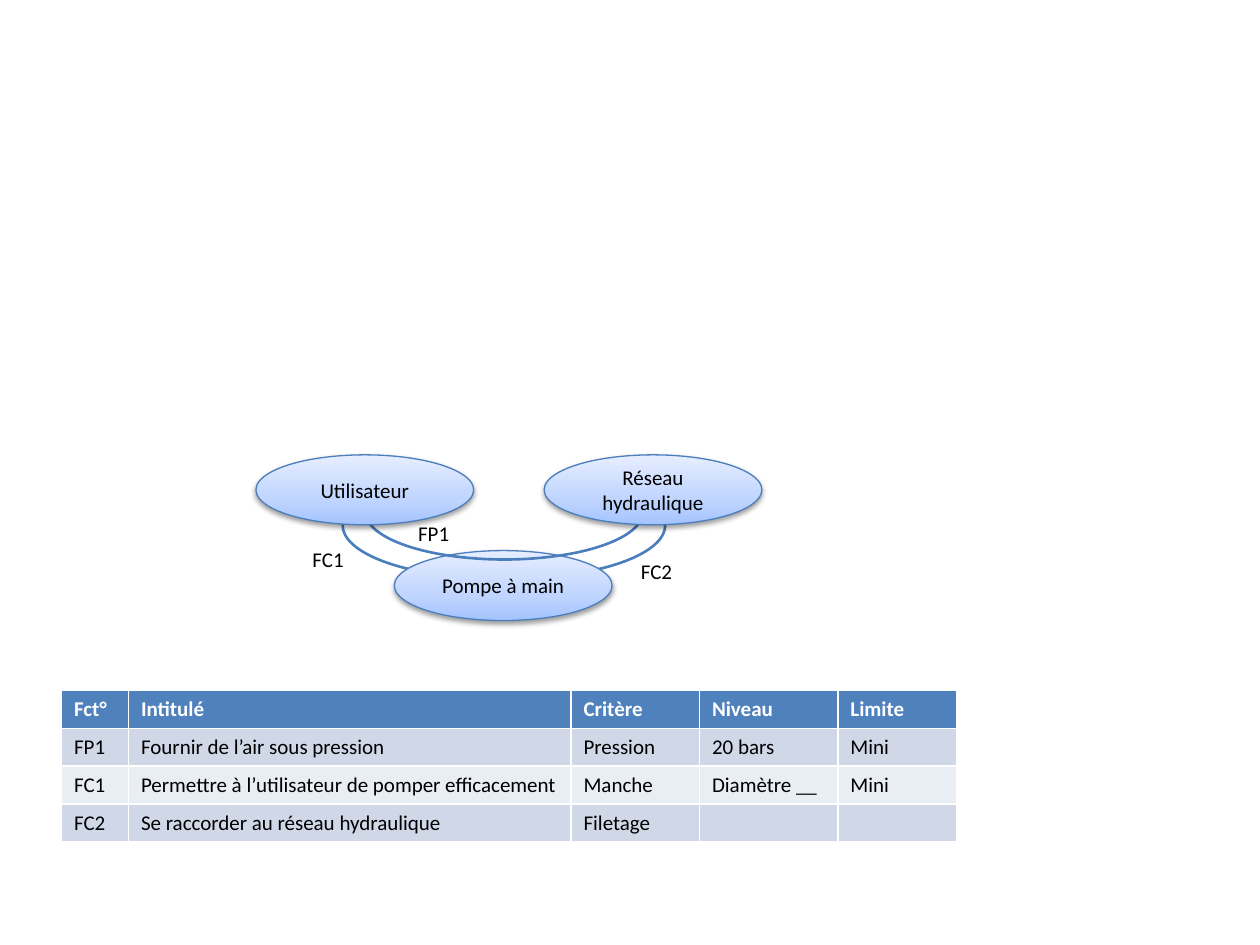
from lxml.etree import SubElement
from pptx import Presentation
from pptx.dml.color import RGBColor
from pptx.enum.shapes import MSO_SHAPE
from pptx.enum.text import MSO_ANCHOR, MSO_AUTO_SIZE, PP_ALIGN
from pptx.oxml.ns import qn
from pptx.util import Cm, Pt

# Content, lengths in cm
BLUE = "4B7EBC"
STOPS = [(0, "A4C4FF"), (35, "BFD4FF"), (100, "E6EEFF")]
# left, top, width, height, start and end degrees, mirrored
LINKS = [
    (6.91, 9.53, 6.17, 2.13, 354.03, 40.49, True),
    (7.24, 9.53, 6.17, 2.13, 354.03, 40.49, False),
]
MAIN = (7.37, 9.37, 5.59, 1.91, 352.12, 190.12, False)
PUMP = ("Pompe à main", 7.95, 11.1)
ACTORS = [("Utilisateur", 5.16, 9.17), ("Réseau hydraulique", 10.97, 9.17)]
LABELS = [("FP1", 8.18, 10.36), ("FC1", 6.05, 10.9), ("FC2", 12.67, 11.13)]
COLS = [1.35, 8.92, 2.59, 2.79, 2.39]
ROWS = [
    ("Fct°", "Intitulé", "Critère", "Niveau", "Limite"),
    ("FP1", "Fournir de l’air sous pression", "Pression", "20 bars", "Mini"),
    ("FC1", "Permettre à l’utilisateur de pomper efficacement", "Manche",
     "Diamètre __", "Mini"),
    ("FC2", "Se raccorder au réseau hydraulique", "Filetage", "", ""),
]
HIGH = 0.76


def color(code):
    return RGBColor.from_string(code)


def write(frame, text, code="000000", bold=False):
    frame.text = text
    for run in frame.paragraphs[0].runs:
        run.font.name = "Calibri"
        run.font.size = Pt(12)
        run.font.bold = bold
        run.font.color.rgb = color(code)


def node(owner, tag, **attrs):
    item = SubElement(owner, qn(tag))
    for key, value in attrs.items():
        item.set(key, str(value))
    return item


def outline(shape, width):
    shape.shadow.inherit = False
    shape.line.color.rgb = color(BLUE)
    shape.line.width = Pt(width)


def add_arc(left, top, width, height, start, end, mirror):
    arc = group.shapes.add_shape(
        MSO_SHAPE.ARC, Cm(left), Cm(top), Cm(width), Cm(height))
    # Angles are stored in 60000ths of a degree, adjustments in 100000ths
    arc.adjustments[0] = start * 0.6
    arc.adjustments[1] = end * 0.6
    arc.fill.background()
    outline(arc, 1.5)
    if mirror:
        arc.element.spPr.xfrm.set("flipH", "1")


def add_oval(text, left, top):
    oval = group.shapes.add_shape(
        MSO_SHAPE.OVAL, Cm(left), Cm(top), Cm(4.39), Cm(1.41))
    outline(oval, 0.75)
    # Three-stop gradient
    oval.fill.gradient()
    oval.fill.gradient_angle = 90
    props = oval.element.spPr
    grad = props.find(qn("a:gradFill"))
    stops = grad.find(qn("a:gsLst"))
    for old in list(stops):
        stops.remove(old)
    for place, code in STOPS:
        stop = node(stops, "a:gs", pos=place * 1000)
        node(stop, "a:srgbClr", val=code)
    grad.find(qn("a:lin")).set("ang", str(270 * 60000))
    # Soft shadow below
    shade = node(props.find(qn("a:effectLst")), "a:outerShdw",
                 blurRad=Pt(3.1), dist=Pt(1.6), dir=90 * 60000,
                 rotWithShape=0)
    tint = node(shade, "a:srgbClr", val="000000")
    node(tint, "a:alpha", val=38000)
    frame = oval.text_frame
    frame.word_wrap = True
    frame.vertical_anchor = MSO_ANCHOR.MIDDLE
    write(frame, text)
    frame.paragraphs[0].alignment = PP_ALIGN.CENTER


deck = Presentation()
deck.slide_width, deck.slide_height = Cm(25.4), Cm(19.05)
slide = deck.slides.add_slide(deck.slide_layouts[6])

# Diagram, from back to front
group = slide.shapes.add_group_shape()
for link in LINKS:
    add_arc(*link)
add_oval(*PUMP)
add_arc(*MAIN)
for actor in ACTORS:
    add_oval(*actor)
for text, left, top in LABELS:
    label = group.shapes.add_textbox(Cm(left), Cm(top), Cm(2.39), Cm(HIGH))
    label.text_frame.word_wrap = True
    label.text_frame.auto_size = MSO_AUTO_SIZE.SHAPE_TO_FIT_TEXT
    write(label.text_frame, text)

# Table of functions
table = slide.shapes.add_table(
    len(ROWS), len(COLS), Cm(1.24), Cm(13.92),
    Cm(sum(COLS)), Cm(HIGH * len(ROWS))).table
for col, width in zip(table.columns, COLS):
    col.width = Cm(width)
for r, row in enumerate(ROWS):
    head = r == 0
    back = "4F81BD" if head else ("D0D8E8" if r % 2 else "E9EDF4")
    for c, text in enumerate(row):
        cell = table.cell(r, c)
        cell.fill.solid()
        cell.fill.fore_color.rgb = color(back)
        if text:
            write(cell.text_frame, text, "FFFFFF" if head else "000000", head)
        else:
            cell.text_frame.paragraphs[0].font.size = Pt(12)

deck.save("out.pptx")
